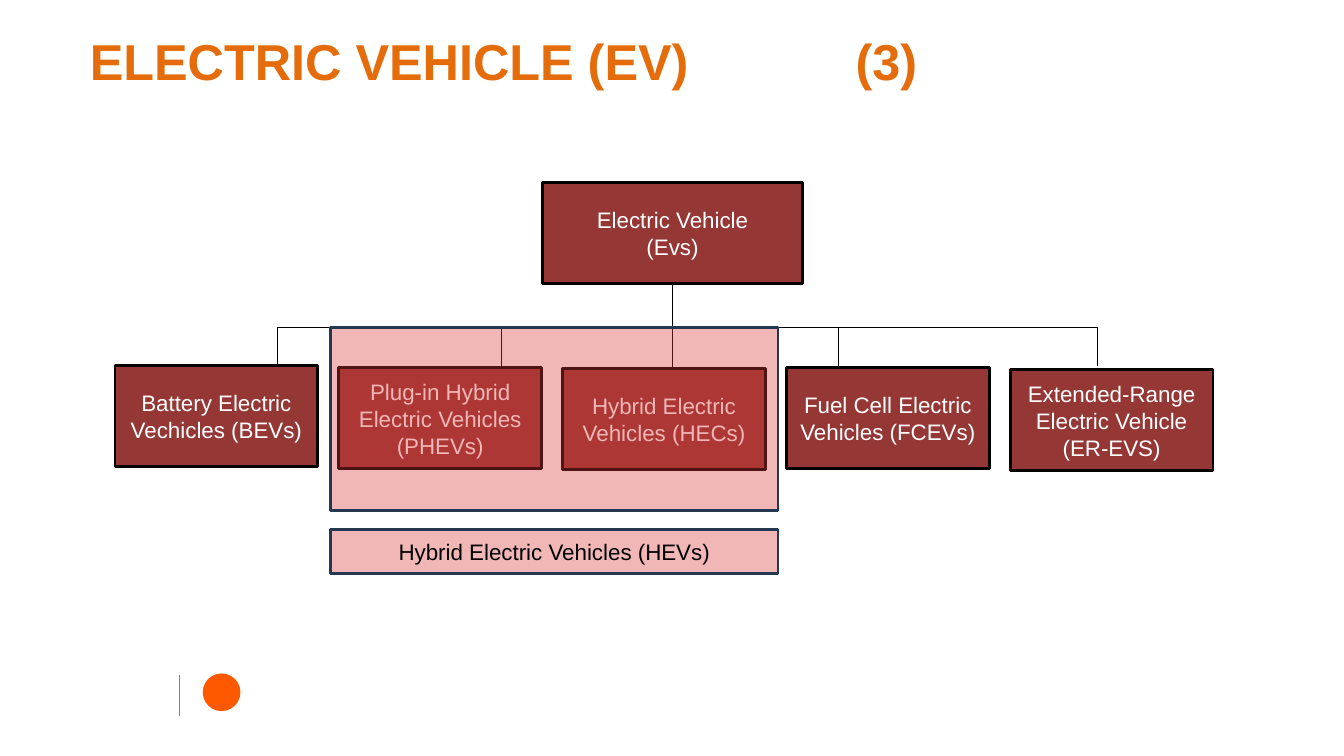
from lxml.etree import SubElement
from pptx import Presentation
from pptx.dml.color import RGBColor
from pptx.enum.shapes import MSO_CONNECTOR, MSO_SHAPE
from pptx.enum.text import MSO_ANCHOR, MSO_AUTO_SIZE, PP_ALIGN
from pptx.oxml.ns import qn
from pptx.util import Cm, Pt

ORANGE = RGBColor(0xE4, 0x6C, 0x0A)
BADGE_ORANGE = RGBColor(0xFF, 0x59, 0x00)
BRICK = RGBColor(0x95, 0x37, 0x35)
RED = RGBColor(0xD7, 0x39, 0x35)
NAVY = RGBColor(0x23, 0x39, 0x53)
GRAY = RGBColor(0x80, 0x80, 0x80)
BLACK = RGBColor(0, 0, 0)
WHITE = RGBColor(0xFF, 0xFF, 0xFF)

presentation = Presentation()
presentation.slide_width = Cm(33.87)
presentation.slide_height = Cm(19.05)
slide = presentation.slides.add_slide(presentation.slide_layouts[5])


def add_box(left, top, width, height, text, fill, outline, text_color, alpha=None):
    shape = slide.shapes.add_shape(
        MSO_SHAPE.RECTANGLE, Cm(left), Cm(top), Cm(width), Cm(height))
    shape.shadow.inherit = False
    shape.fill.solid()
    shape.fill.fore_color.rgb = fill
    if alpha:
        color = shape.fill._xPr.find(".//" + qn("a:srgbClr"))
        SubElement(color, qn("a:alpha")).set("val", str(alpha * 1000))
    shape.line.color.rgb = outline
    shape.line.width = Pt(2)
    if text:
        shape.text_frame.text = text
        shape.text_frame.vertical_anchor = MSO_ANCHOR.MIDDLE
        for paragraph in shape.text_frame.paragraphs:
            paragraph.alignment = PP_ALIGN.CENTER
            paragraph.font.name = "Arial"
            paragraph.font.size = Pt(16)
            paragraph.font.color.rgb = text_color
    return shape


def add_line(x1, y1, x2, y2, color=BLACK):
    line = slide.shapes.add_connector(
        MSO_CONNECTOR.STRAIGHT, Cm(x1), Cm(y1), Cm(x2), Cm(y2))
    line.line.color.rgb = color
    line.line.width = Pt(0.75)
    SubElement(line._element.spPr, qn("a:effectLst"))
    return line


title = slide.shapes.title
title.left, title.top, title.width, title.height = Cm(2.01), Cm(0.64), Cm(21.8), Cm(1.8)
title_frame = title.text_frame
title_frame.text = "ELECTRIC VEHICLE (EV)\t(3)"
title_frame.word_wrap = True
title_frame.auto_size = MSO_AUTO_SIZE.NONE
title_frame.vertical_anchor = MSO_ANCHOR.TOP
paragraph = title_frame.paragraphs[0]
paragraph.alignment = PP_ALIGN.LEFT
tabs = SubElement(paragraph._p.get_or_add_pPr(), qn("a:tabLst"))
SubElement(tabs, qn("a:tab"), pos=str(Cm(19.3)), algn="l")
paragraph.font.name = "Arial"
paragraph.font.size = Pt(36)
paragraph.font.bold = True
paragraph.font.color.rgb = ORANGE

badge = slide.shapes.add_shape(MSO_SHAPE.OVAL, Cm(5.11), Cm(16.97), Cm(0.95), Cm(0.95))
badge.shadow.inherit = False
badge.fill.solid()
badge.fill.fore_color.rgb = BADGE_ORANGE
badge.line.fill.background()
add_line(4.53, 17.02, 4.53, 18.03, GRAY)

BUS_TOP = 8.26
DROPS = [(6.99, 9.22), (12.65, 9.25), (16.95, 9.25), (21.13, 9.25), (27.66, 9.22)]

root = add_box(13.67, 4.6, 6.56, 2.54, "Electric Vehicle\n(Evs)", BRICK, BLACK, WHITE)
trunk = add_line(16.95, 7.14, 16.95, BUS_TOP)
trunk.begin_connect(root, 2)
add_line(DROPS[0][0], BUS_TOP, DROPS[-1][0], BUS_TOP)
for x, bottom in DROPS:
    add_line(x, bottom, x, BUS_TOP)

VEHICLE_TYPES = [
    ("Battery Electric\nVechicles (BEVs)", 9.22),
    ("Plug-in Hybrid\nElectric Vehicles\n(PHEVs)", 9.27),
    ("Hybrid Electric\nVehicles (HECs)", 9.29),
    ("Fuel Cell Electric\nVehicles (FCEVs)", 9.27),
    ("Extended-Range\nElectric Vehicle\n(ER-EVS)", 9.32),
]
for column, (name, top) in enumerate(VEHICLE_TYPES):
    add_box(2.9 + 5.64 * column, top, 5.11, 2.54, name, BRICK, BLACK, WHITE)

HYBRID_GROUP = [
    (BUS_TOP, 4.6, ""),
    (13.34, 1.12, "Hybrid Electric Vehicles (HEVs)"),
]
for top, height, text in HYBRID_GROUP:
    add_box(8.33, top, 11.28, height, text, RED, NAVY, BLACK, alpha=36)

presentation.save("out.pptx")
